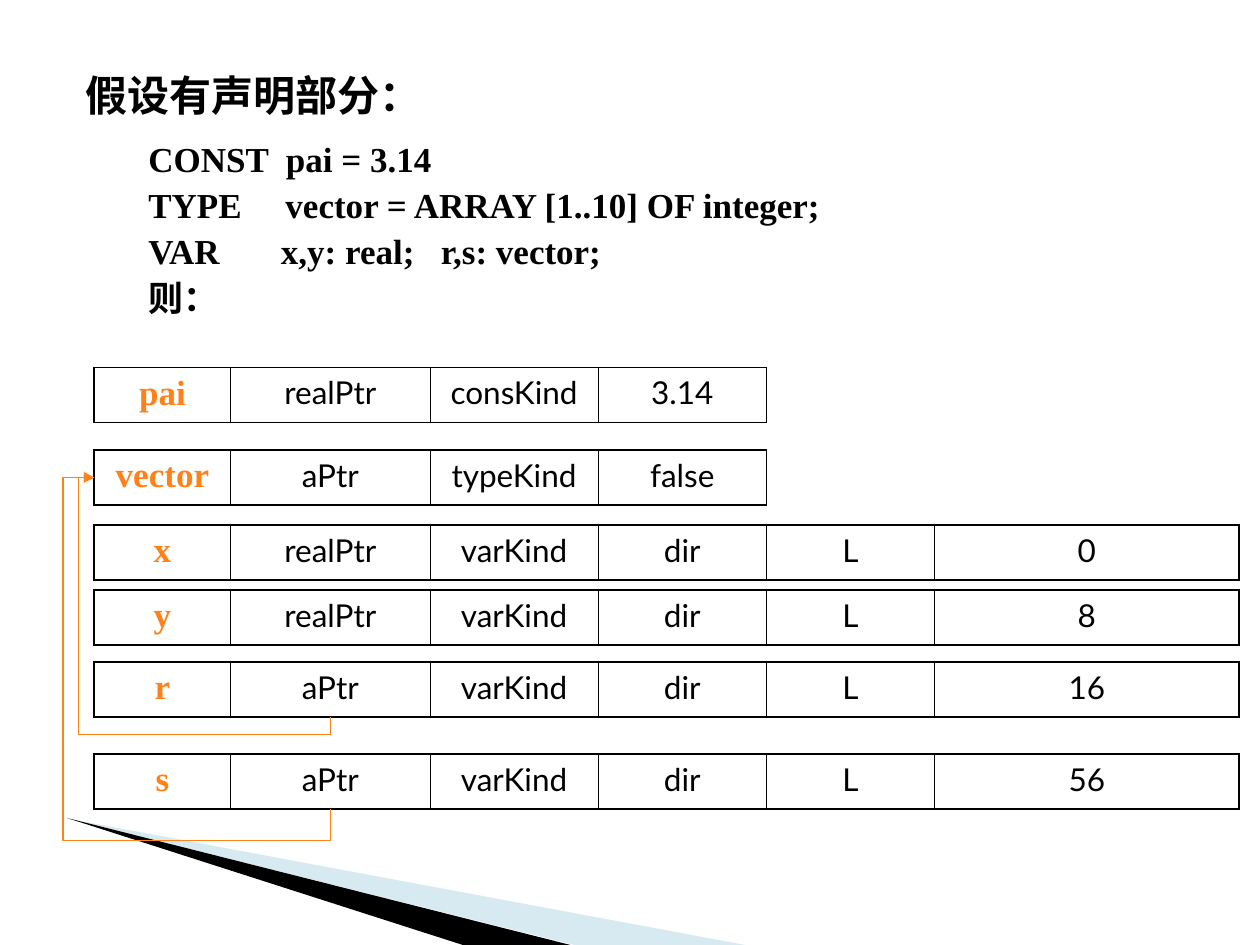
from lxml import etree
from pptx import Presentation
from pptx import util as u
from pptx.dml.color import RGBColor
from pptx.enum import shapes, text
from pptx.oxml.ns import qn

COLORS = {"ink": "000000", "accent": "FF8119", "mist": "9FCBDC"}
SERIF, SANS = "Times New Roman", "Lato"
NAME_FONT = {"name": SERIF, "size": u.Pt(20), "bold": True}
FIELD_FONT = {"name": SANS, "size": u.Pt(18), "bold": False}

DECLARATIONS = [  # text, size, space before, indent
    ("假设有声明部分：", 24, 0, 0),
    ("CONST  pai = 3.14", 20, 10, 1.27),
    ("TYPE     vector = ARRAY [1..10] OF integer;", 20, 2.5, 1.27),
    ("VAR       x,y: real;   r,s: vector;", 20, 2.5, 1.27),
    ("则：", 20, 2.5, 1.27),
]
COLUMNS = [2.75, 4.02, 3.39, 3.39, 3.39, 6.14]
ROW_HEIGHT = 1.11
TABLE_LEFT = 1.9
RECORDS = {  # name: (top, fields)
    "pai": (7.41, ["realPtr", "consKind", "3.14"]),
    "vector": (9.07, ["aPtr", "typeKind", "false"]),
    "x": (10.58, ["realPtr", "varKind", "dir", "L", "0"]),
    "y": (11.89, ["realPtr", "varKind", "dir", "L", "8"]),
    "r": (13.34, ["aPtr", "varKind", "dir", "L", "16"]),
    "s": (15.2, ["aPtr", "varKind", "dir", "L", "56"]),
}
POINTERS = [("s", 1.27, 0.64), ("r", 1.58, 0.36)]  # record, lane x, drop


def rgb(name):
    return RGBColor.from_string(COLORS[name])


def set_font(font, values, color):
    for key, value in values.items():
        setattr(font, key, value)
    font.color.rgb = rgb(color)


def add_wedge(slide, left, top, points, color, opacity=100):
    """Filled outline whose points are relative to its tip."""
    pts = [(u.Cm(left + x), u.Cm(top + y)) for x, y in points]
    builder = slide.shapes.build_freeform(u.Cm(left), u.Cm(top))
    builder.add_line_segments(pts, close=True)
    sp = builder.convert_to_shape()
    sp.shadow.inherit = False
    sp.fill.solid()
    sp.fill.fore_color.rgb = rgb(color)
    sp.line.fill.background()
    if opacity < 100:
        clr = sp.fill._xPr.find(".//" + qn("a:srgbClr"))
        etree.SubElement(clr, qn("a:alpha"), val=str(opacity * 1000))


def add_declarations(slide, left, top, width, height):
    tf = slide.shapes.add_textbox(*map(u.Cm, (left, top, width, height))).text_frame
    tf.word_wrap = True
    tf.auto_size = text.MSO_AUTO_SIZE.SHAPE_TO_FIT_TEXT
    for i, (line, size, before, indent) in enumerate(DECLARATIONS):
        p = tf.add_paragraph() if i else tf.paragraphs[0]
        p.space_before = u.Pt(before)
        p._p.get_or_add_pPr().set("marL", str(u.Cm(indent)))
        r = p.add_run()
        r.text = line
        set_font(r.font, {"name": SERIF, "size": u.Pt(size), "bold": True}, "ink")


def set_borders(cell, widths):
    """Line widths in points for the left, right, top and bottom sides."""
    tc_pr = cell._tc.get_or_add_tcPr()
    for i, (side, width) in enumerate(zip("LRTB", widths)):
        ln = etree.Element(qn(f"a:ln{side}"), w=str(u.Pt(width)))
        fill = etree.SubElement(ln, qn("a:solidFill"))
        etree.SubElement(fill, qn("a:srgbClr"), val=COLORS["ink"])
        tc_pr.insert(i, ln)


def add_record(slide, left, top, name, fields):
    """One-row table: the name of an identifier, then its attributes."""
    values = [name] + fields
    widths = COLUMNS[:len(values)]
    box = map(u.Cm, (left, top, sum(widths), ROW_HEIGHT))
    table = slide.shapes.add_table(1, len(values), *box).table
    table.first_row = table.horz_banding = False
    last = len(values) - 1
    for i, (value, width) in enumerate(zip(values, widths)):
        table.columns[i].width = u.Cm(width)
        cell = table.cell(0, i)
        cell.fill.background()
        thin, thick = 0.45, 1.08
        set_borders(cell, (thin if i else thick, thin if i < last else thick, thick, thick))
        p = cell.text_frame.paragraphs[0]
        p.alignment = text.PP_ALIGN.CENTER
        r = p.add_run()
        r.text = value
        set_font(r.font, FIELD_FONT if i else NAME_FONT, "ink" if i else "accent")


def add_pointer(slide, x1, y1, x2, y2, lane, drop):
    """Arrow that drops from its start, runs left to the lane, climbs and turns right."""
    rise, run = y1 - y2, x1 - x2
    mid_x, mid_y = (x1 + x2) / 2, (y1 + y2) / 2
    # The box lies on its side: its width is the rise, turned by 270 degrees.
    ends = (mid_x - rise / 2, mid_y + run / 2, mid_x + rise / 2, mid_y - run / 2)
    c = slide.shapes.add_connector(shapes.MSO_CONNECTOR.ELBOW, *map(u.Cm, ends))
    c.line.color.rgb = rgb("accent")
    c.line.width = u.Pt(0.75)
    sp_pr = c._element.spPr
    sp_pr.find(qn("a:xfrm")).set("rot", str(270 * 60000))
    geom = sp_pr.find(qn("a:prstGeom"))
    geom.set("prst", "bentConnector4")
    guides = geom.find(qn("a:avLst"))
    for key, ratio in (("adj1", -drop / rise), ("adj2", (x1 - lane) / run)):
        etree.SubElement(guides, qn("a:gd"), name=key, fmla=f"val {round(ratio * 100000)}")
    etree.SubElement(sp_pr.find(qn("a:ln")), qn("a:tailEnd"), type="triangle")
    etree.SubElement(sp_pr, qn("a:effectLst"))


def main():
    prs = Presentation()
    prs.slide_width, prs.slide_height = u.Cm(25.4), u.Cm(19.05)
    slide = prs.slides.add_slide(prs.slide_layouts[6])

    add_wedge(slide, 1.4, 16.51, [(13.62, 2.54), (10.18, 2.54)], "mist", 40)
    add_wedge(slide, 1.35, 16.49, [(10.15, 2.56), (7.98, 2.56)], "ink")
    add_declarations(slide, 1.47, 1.27, 23.5, 5.28)
    for name, (top, fields) in RECORDS.items():
        add_record(slide, TABLE_LEFT, top, name, fields)

    pointer_x = TABLE_LEFT + COLUMNS[0] + COLUMNS[1] / 2
    target_y = RECORDS["vector"][0] + ROW_HEIGHT / 2
    for name, lane, drop in POINTERS:
        start_y = RECORDS[name][0] + ROW_HEIGHT
        add_pointer(slide, pointer_x, start_y, TABLE_LEFT, target_y, lane, drop)

    prs.save("out.pptx")


if __name__ == "__main__":
    main()
